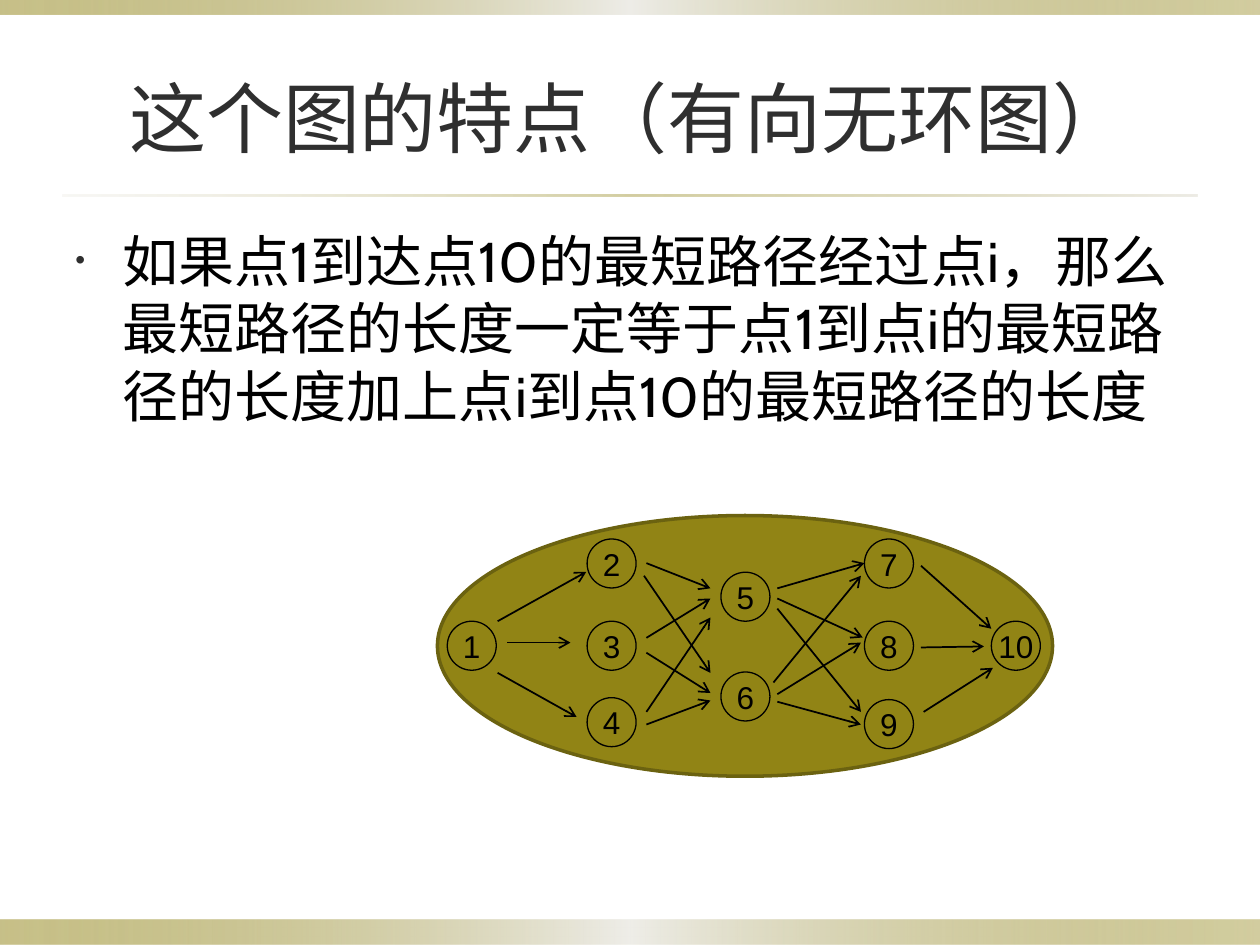
from lxml import etree
from pptx import Presentation
from pptx.dml.color import RGBColor
from pptx.enum.shapes import MSO_CONNECTOR, MSO_SHAPE
from pptx.enum.text import MSO_ANCHOR, PP_ALIGN
from pptx.oxml.ns import qn
from pptx.util import Pt

RECT = MSO_SHAPE.RECTANGLE
OVAL = MSO_SHAPE.OVAL
JOINT = MSO_SHAPE.FLOWCHART_CONNECTOR
LINE = MSO_CONNECTOR.STRAIGHT
MIDDLE = MSO_ANCHOR.MIDDLE
TOP = MSO_ANCHOR.TOP
CENTER = PP_ALIGN.CENTER
LEFT = PP_ALIGN.LEFT

BLACK = RGBColor(0x00, 0x00, 0x00)
DARK = RGBColor(0x2F, 0x2F, 0x2F)
OLIVE = RGBColor(0x91, 0x84, 0x15)
EDGE = RGBColor(0x6B, 0x62, 0x10)
PALE = RGBColor(0xEE, 0xED, 0xE8)
SAND = RGBColor(0xDC, 0xD9, 0xCC)

BAND = [(0, OLIVE, 50), (50, PALE, 100), (100, OLIVE, 40)]
RULE = [(0, SAND, 20), (50, OLIVE, 40), (100, SAND, 50)]

NODE = 28
NODES = [
    ("1", 255.6, 355), ("2", 335.5, 308), ("3", 335.5, 355),
    ("4", 335.5, 398.7), ("5", 412, 327), ("6", 412, 384),
    ("7", 494, 308), ("8", 494, 355), ("9", 494, 399.8),
    ("10", 566.5, 355),
]
EDGES = [
    (284.4, 355, 335, 326.8), (290, 367.2, 326, 367.2),
    (284.4, 384.5, 329.5, 409.7),
    (369.4, 321.8, 406, 336.2), (368, 329, 406, 384.5),
    (369.4, 364.5, 406, 342), (369.4, 373, 406, 396),
    (369.4, 406.8, 406, 352.8), (369.4, 414, 406, 400.3),
    (444.2, 336.2, 494, 321.8), (444.2, 342, 493, 364.3),
    (444.2, 347.8, 492, 406.8), (442, 390, 492, 329),
    (444.2, 396.7, 492, 367.2), (444.2, 401, 492, 414),
    (526.3, 323.3, 566.5, 359.3), (526.3, 370, 562.3, 369.4),
    (527.8, 406.8, 567.4, 381.6),
]


def add(parent, tag, **attrs):
    item = etree.SubElement(parent, qn(tag))
    for key, value in attrs.items():
        item.set(key, str(value))
    return item


class Deck:
    font = "Cabin"
    label = "Arial"

    def __init__(self):
        self.prs = Presentation()
        self.prs.slide_width = Pt(720)
        self.prs.slide_height = Pt(540)
        self.slide = self.prs.slides.add_slide(self.prs.slide_layouts[5])
        self.shapes = self.slide.shapes

    def shape(self, kind, x, y, w, h):
        shape = self.shapes.add_shape(kind, Pt(x), Pt(y), Pt(w), Pt(h))
        shape.shadow.inherit = False
        return shape

    def text(self, frame, words, size, color, font, align, anchor):
        frame.text = words
        frame.vertical_anchor = anchor
        para = frame.paragraphs[0]
        para.alignment = align
        para.font.size = Pt(size)
        para.font.name = font
        para.font.color.rgb = color
        return para

    def band(self, x, y, w, h, stops):
        shape = self.shape(RECT, x, y, w, h)
        shape.line.fill.background()
        shape.fill.gradient()
        shape.fill.gradient_angle = 0
        group = shape._element.spPr.find(qn("a:gradFill")).find(qn("a:gsLst"))
        for old in list(group):
            group.remove(old)
        for pos, color, alpha in stops:
            stop = add(group, "a:gs", pos=pos * 1000)
            tint = add(stop, "a:srgbClr", val=color)
            add(tint, "a:alpha", val=alpha * 1000)

    def title(self, words, x, y, w, h):
        title = self.shapes.title
        title.left, title.top = Pt(x), Pt(y)
        title.width, title.height = Pt(w), Pt(h)
        self.text(title.text_frame, words, 44, DARK, self.font, CENTER, MIDDLE)

    def bullet(self, words, x, y, w, h):
        box = self.shapes.add_textbox(Pt(x), Pt(y), Pt(w), Pt(h))
        frame = box.text_frame
        frame.word_wrap = True
        para = self.text(frame, words, 32, BLACK, self.font, LEFT, TOP)
        para.space_before = Pt(6.4)
        props = para._p.get_or_add_pPr()
        props.set("marL", str(Pt(27)))
        props.set("indent", str(-Pt(27)))
        marks = [
            etree.Element(qn("a:buClr")),
            etree.Element(qn("a:buSzPct"), val="50000"),
            etree.Element(qn("a:buFont"), typeface="Arial"),
            etree.Element(qn("a:buChar"), char="•"),
        ]
        add(marks[0], "a:srgbClr", val=DARK)
        tail = props.find(qn("a:defRPr"))
        for mark in marks:
            tail.addprevious(mark)

    def oval(self, kind, x, y, w, h, line, width):
        shape = self.shape(kind, x, y, w, h)
        shape.fill.solid()
        shape.fill.fore_color.rgb = OLIVE
        shape.line.color.rgb = line
        shape.line.width = Pt(width)
        return shape

    def node(self, words, x, y):
        shape = self.oval(OVAL, x, y, NODE, NODE, BLACK, 0.75)
        frame = shape.text_frame
        frame.word_wrap = False
        self.text(frame, words, 18, BLACK, self.label, CENTER, MIDDLE)

    def arrow(self, *ends):
        line = self.shapes.add_connector(LINE, *map(Pt, ends))
        line.line.color.rgb = BLACK
        line.line.width = Pt(1)
        props = line._element.spPr
        add(props.find(qn("a:ln")), "a:tailEnd", type="arrow")
        add(props, "a:effectLst")


def main():
    deck = Deck()
    deck.band(0, 525.5, 720, 14.5, BAND)
    deck.band(0, 0, 720, 8.5, BAND)
    deck.band(36, 111, 648, 1.4, RULE)
    deck.title("这个图的特点（有向无环图）", 36, 21.6, 648, 90)
    deck.bullet(
        "如果点1到达点10的最短路径经过点i，"
        "那么最短路径的长度一定等于点1到点i的最短路径的长度"
        "加上点i到点10的最短路径的长度",
        36, 126, 648, 369)
    deck.oval(JOINT, 250, 294.6, 351.5, 149, EDGE, 2)
    for node in NODES:
        deck.node(*node)
    for edge in EDGES:
        deck.arrow(*edge)
    deck.prs.save("out.pptx")


if __name__ == "__main__":
    main()
